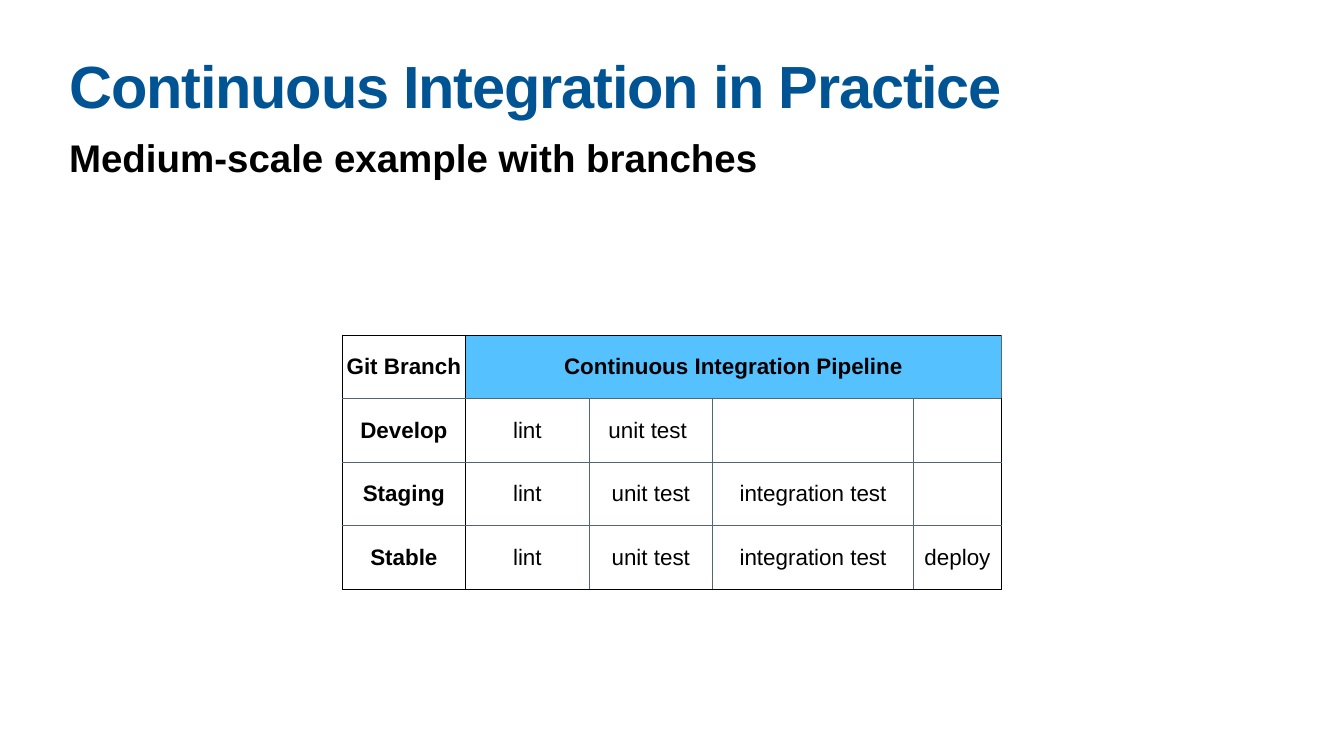
from pptx import Presentation
from pptx.dml.color import RGBColor
from pptx.enum.text import MSO_ANCHOR, MSO_AUTO_SIZE, PP_ALIGN
from pptx.oxml.ns import qn
from pptx.util import Inches, Pt
from lxml import etree

TOP, MIDDLE = MSO_ANCHOR.TOP, MSO_ANCHOR.MIDDLE
LEFT, CENTER = PP_ALIGN.LEFT, PP_ALIGN.CENTER
NO_FIT = MSO_AUTO_SIZE.NONE

COLORS = {"title": "005493", "text": "000000", "head": "56C1FF",
          "edge": "000000", "grid": "536773"}


def add_run(para, text, size, bold, color="text"):
    run = para.add_run()
    run.text = text
    font = run.font
    font.name, font.size, font.bold = "Arial", Pt(size), bold
    font.color.rgb = RGBColor.from_string(COLORS[color])
    return run


def add_line(cell, side, color, width):
    line = etree.SubElement(cell._tc.get_or_add_tcPr(), qn("a:ln" + side),
                            w=str(Pt(width)))
    fill = etree.SubElement(line, qn("a:solidFill"))
    etree.SubElement(fill, qn("a:srgbClr"), val=COLORS[color])


deck = Presentation()
deck.slide_width, deck.slide_height = Inches(26.67), Inches(15)
slide = deck.slides.add_slide(deck.slide_layouts[1])

# Title and subtitle
title, body = slide.placeholders
heads = [
    (title, 1.18, 1.57, 0.06, "Continuous Integration in Practice", 85, "title"),
    (body, 2.6, 1.02, 0.05, "Medium-scale example with branches", 55, "text"),
]
for shape, top, height, inset, text, size, color in heads:
    shape.left, shape.top = Inches(1.32), Inches(top)
    shape.width, shape.height = Inches(24.03), Inches(height)
    frame = shape.text_frame
    frame.word_wrap, frame.auto_size = True, NO_FIT
    frame.vertical_anchor = TOP
    frame.margin_left = frame.margin_right = Inches(inset)
    frame.margin_top = frame.margin_bottom = Inches(inset)
    para = frame.paragraphs[0]
    para.alignment, para.space_before = LEFT, Pt(0)
    add_run(para, text, size, True, color)

title.text_frame.paragraphs[0].line_spacing = 0.8
title.text_frame.paragraphs[0].runs[0]._r.get_or_add_rPr().set("spc", "-170")
props = body.text_frame.paragraphs[0]._p.get_or_add_pPr()
props.set("marL", "0")
props.set("indent", "0")
etree.SubElement(props, qn("a:buNone"))

# Pipeline table
cols = [2.45, 2.45, 2.45, 3.99, 1.74]
row_h = 1.26
rows = [
    ["Git Branch", "Continuous Integration Pipeline", "", "", ""],
    ["Develop", "lint", "unit test ", "", ""],
    ["Staging", "lint", "unit test", "integration test", ""],
    ["Stable", "lint", "unit test", "integration test", "deploy"],
]
last_r, last_c = len(rows) - 1, len(cols) - 1
table = slide.shapes.add_table(
    len(rows), len(cols), Inches(6.79), Inches(6.65),
    Inches(sum(cols)), Inches(row_h * len(rows))).table
table.first_row = table.horz_banding = False
for col, width in zip(table.columns, cols):
    col.width = Inches(width)
for row in table.rows:
    row.height = Inches(row_h)
table.cell(0, 1).merge(table.cell(0, last_c))

for r, row in enumerate(rows):
    for c, text in enumerate(row):
        cell = table.cell(r, c)
        cell.vertical_anchor = MIDDLE
        cell.margin_left = cell.margin_right = Inches(0.06)
        cell.margin_top = cell.margin_bottom = Inches(0.06)
        # Dark lines around the table and beside the branch names
        dark = {"L": c < 2, "R": c in (0, last_c),
                "T": r == 0, "B": r == last_r}
        for side, edge in dark.items():
            add_line(cell, side, "edge" if edge else "grid", 1)
        if r == 0 and c > 0:
            cell.fill.solid()
            cell.fill.fore_color.rgb = RGBColor.from_string(COLORS["head"])
        else:
            cell.fill.background()
        if text:
            para = cell.text_frame.paragraphs[0]
            para.alignment = CENTER
            add_run(para, text, 32, r == 0 or c == 0)

deck.save("out.pptx")
